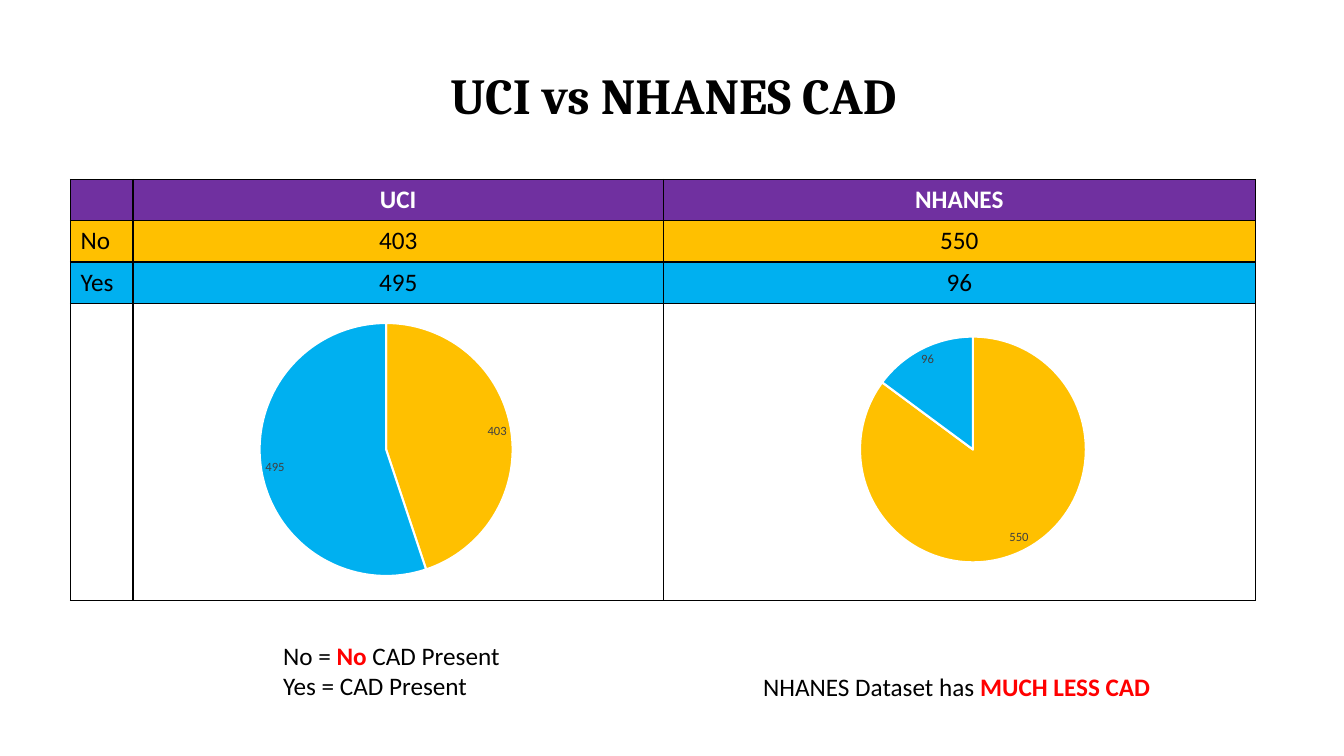
from dataclasses import dataclass
from typing import NamedTuple

from lxml import etree
from pptx import Presentation
from pptx import util as u
from pptx.chart import data as chart_data
from pptx.dml import color
from pptx.enum import chart as chart_enum
from pptx.enum import text
from pptx.oxml import ns

SLIDE_WIDTH, SLIDE_HEIGHT = u.Inches(13.33), u.Inches(7.5)
COLUMNS, ROWS = 133.3, 75


@dataclass(frozen=True)
class Theme:
    black: str = "000000"
    white: str = "FFFFFF"
    red: str = "FF0000"
    purple: str = "7030A0"
    gold: str = "FFC000"
    blue: str = "00B0F0"
    label_gray: str = "404040"
    heading_font: str = "Cambria"
    body_font: str = "Calibri"
    title_size: int = 36
    body_size: int = 18
    label_size: int = 9
    border_width: float = 1
    slice_border: float = 1.5


THEME = Theme()


class Box(NamedTuple):
    """A place on the slide, in grid columns and rows."""
    left: float
    top: float
    width: float
    height: float


class Run(NamedTuple):
    words: str
    color: str = THEME.black
    bold: bool = False


class TableRow(NamedTuple):
    cells: tuple[str, str, str]
    height: float
    fill: str | None = None
    color: str = THEME.black
    bold: bool = False


class TextBlock(NamedTuple):
    box: Box
    paragraphs: list[list[Run]]
    format: dict


class Pie(NamedTuple):
    box: Box
    values: tuple[int, int]
    diameter: float


TABLE_BOX = Box(7, 17.8, 117.5, 41.8)
TABLE_COLUMNS = (6.2, 52.6, 58.7)
TABLE_ROWS = [
    TableRow(("", "UCI", "NHANES"), 4.1, THEME.purple, THEME.white, True),
    TableRow(("No", "403", "550"), 4.1, THEME.gold),
    TableRow(("Yes", "495", "96"), 4.1, THEME.blue),
    TableRow(("", "", ""), 29.5),
]
PIES = [
    Pie(Box(71.5, 30.6, 50, 28), (550, 96), 22.4),
    Pie(Box(13.3, 30.6, 50, 28), (403, 495), 25.1),
]
TEXT_BLOCKS = [
    TextBlock(
        Box(16.8, 6.2, 100, 7),
        [[Run("UCI vs NHANES CAD", bold=True)]],
        dict(font=THEME.heading_font, size=THEME.title_size, centered=True,
             line_spacing=0.9, anchor=text.MSO_ANCHOR.MIDDLE),
    ),
    TextBlock(
        Box(27.1, 63, 31.8, 7.1),
        [[Run("No = "), Run("No", THEME.red, True), Run(" CAD Present")],
         [Run("Yes = CAD Present")]],
        {},
    ),
    TextBlock(
        Box(74.7, 66.1, 43.5, 4),
        [[Run("NHANES Dataset has "), Run("MUCH LESS CAD", THEME.red, True)]],
        {},
    ),
]


def across(columns: float) -> int:
    return round(SLIDE_WIDTH * columns / COLUMNS)


def down(rows: float) -> int:
    return round(SLIDE_HEIGHT * rows / ROWS)


def place(box: Box) -> tuple[int, int, int, int]:
    return across(box.left), down(box.top), across(box.width), down(box.height)


def rgb(value: str) -> color.RGBColor:
    return color.RGBColor.from_string(value)


def write_text(frame, paragraphs: list[list[Run]], *, font: str = THEME.body_font,
               size: float = THEME.body_size, centered: bool = False,
               line_spacing: float | None = None,
               anchor: text.MSO_ANCHOR = text.MSO_ANCHOR.TOP) -> None:
    frame.word_wrap = True
    frame.vertical_anchor = anchor
    for index, runs in enumerate(paragraphs):
        paragraph = frame.add_paragraph() if index else frame.paragraphs[0]
        paragraph.alignment = text.PP_ALIGN.CENTER if centered else text.PP_ALIGN.LEFT
        paragraph.line_spacing = line_spacing
        for item in runs:
            run = paragraph.add_run()
            run.text = item.words
            run.font.name, run.font.size = font, u.Pt(size)
            run.font.bold = item.bold
            run.font.color.rgb = rgb(item.color)


def add_borders(cell) -> None:
    properties = cell._tc.get_or_add_tcPr()
    for index, side in enumerate(("a:lnL", "a:lnR", "a:lnT", "a:lnB")):
        line = etree.Element(ns.qn(side), w=str(u.Pt(THEME.border_width)))
        fill = etree.SubElement(line, ns.qn("a:solidFill"))
        etree.SubElement(fill, ns.qn("a:srgbClr"), val=THEME.black)
        properties.insert(index, line)


def add_count_table(slide) -> None:
    table = slide.shapes.add_table(
        len(TABLE_ROWS), len(TABLE_COLUMNS), *place(TABLE_BOX)).table
    table.first_row = table.horz_banding = False
    for column, width in zip(table.columns, TABLE_COLUMNS):
        column.width = across(width)
    for table_row, row in zip(table.rows, TABLE_ROWS):
        table_row.height = down(row.height)
        for index, (cell, words) in enumerate(zip(table_row.cells, row.cells)):
            if row.fill:
                cell.fill.solid()
                cell.fill.fore_color.rgb = rgb(row.fill)
            else:
                cell.fill.background()
            add_borders(cell)
            if words:
                write_text(cell.text_frame, [[Run(words, row.color, row.bold)]],
                           centered=index > 0)


def set_pie_size(chart, pie: Pie) -> None:
    """Centre a pie of the given diameter in its chart."""
    width = pie.diameter / pie.box.width
    height = pie.diameter / pie.box.height
    plot_area = chart._chartSpace.chart.plotArea
    for old_layout in plot_area.findall(ns.qn("c:layout")):
        plot_area.remove(old_layout)
    layout = etree.Element(ns.qn("c:layout"))
    plot_area.insert(0, layout)
    manual = etree.SubElement(layout, ns.qn("c:manualLayout"))
    settings = {"layoutTarget": "inner", "xMode": "edge", "yMode": "edge",
                "x": (1 - width) / 2, "y": (1 - height) / 2,
                "w": width, "h": height}
    for name, value in settings.items():
        etree.SubElement(manual, ns.qn(f"c:{name}"), val=str(value))


def add_pie(slide, pie: Pie) -> None:
    data = chart_data.CategoryChartData()
    data.categories = ["1", "2"]
    data.add_series("Series 1", pie.values)
    chart = slide.shapes.add_chart(
        chart_enum.XL_CHART_TYPE.PIE, *place(pie.box), data).chart
    chart.has_legend = chart.has_title = False
    chart.font.name = THEME.body_font
    plot = chart.plots[0]
    plot.vary_by_categories = True
    for index, fill in enumerate((THEME.gold, THEME.blue)):
        piece = plot.series[0].points[index].format
        piece.fill.solid()
        piece.fill.fore_color.rgb = rgb(fill)
        piece.line.color.rgb = rgb(THEME.white)
        piece.line.width = u.Pt(THEME.slice_border)
    labels = plot.series[0].data_labels
    labels.show_value = True
    labels.position = chart_enum.XL_LABEL_POSITION.BEST_FIT
    labels.font.name, labels.font.size = THEME.body_font, u.Pt(THEME.label_size)
    labels.font.color.rgb = rgb(THEME.label_gray)
    set_pie_size(chart, pie)


def main() -> None:
    presentation = Presentation()
    presentation.slide_width, presentation.slide_height = SLIDE_WIDTH, SLIDE_HEIGHT
    slide = presentation.slides.add_slide(presentation.slide_layouts[6])
    add_count_table(slide)
    for pie in PIES:
        add_pie(slide, pie)
    for block in TEXT_BLOCKS:
        frame = slide.shapes.add_textbox(*place(block.box)).text_frame
        write_text(frame, block.paragraphs, **block.format)
    presentation.save("out.pptx")


if __name__ == "__main__":
    main()
